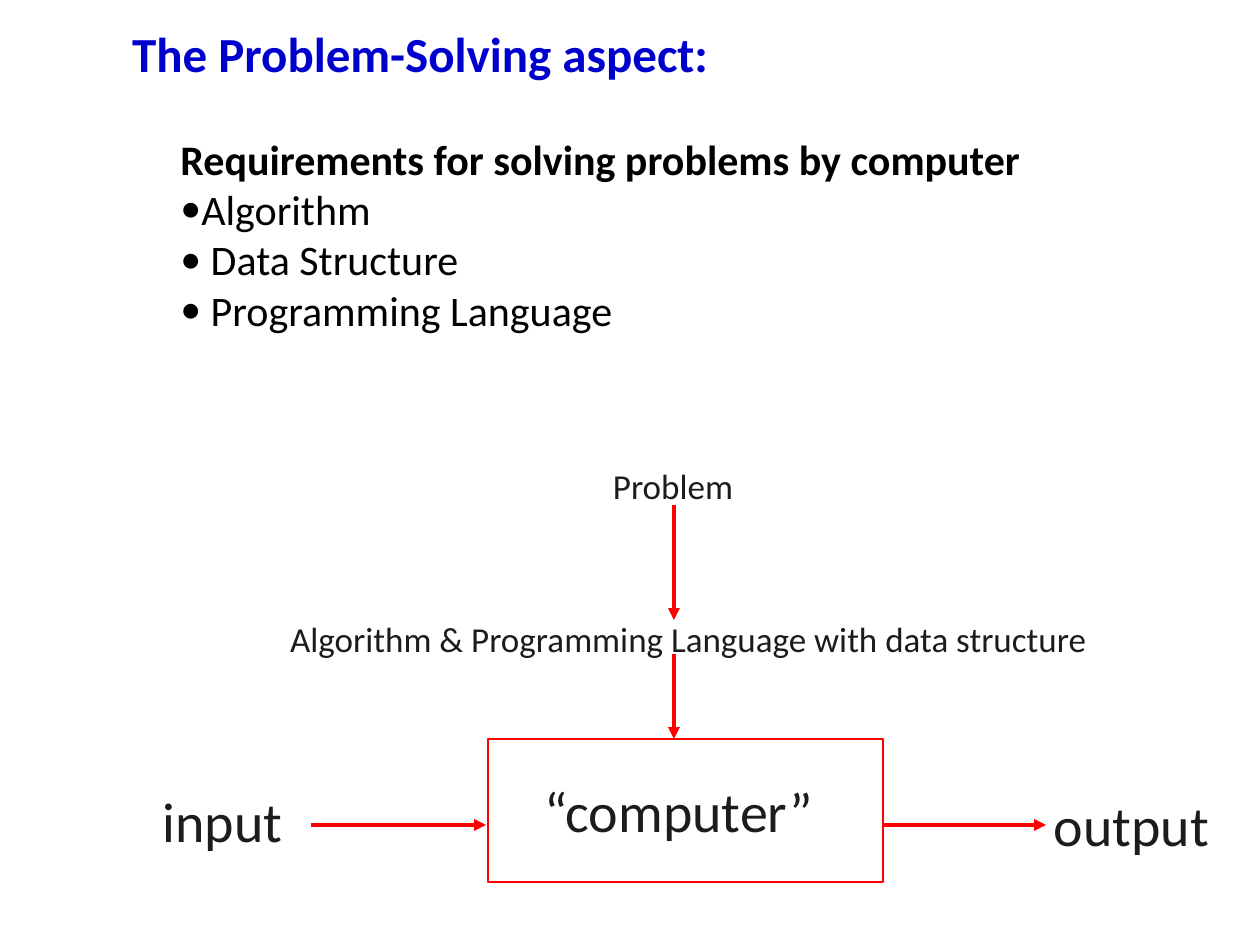
from dataclasses import dataclass

from lxml.etree import SubElement
from pptx import Presentation
from pptx.dml.color import RGBColor
from pptx.enum.shapes import MSO_CONNECTOR, MSO_SHAPE
from pptx.enum.text import MSO_ANCHOR, PP_ALIGN
from pptx.oxml.ns import qn
from pptx.util import Emu, Pt


@dataclass(frozen=True)
class Theme:
    """Font, colours and type sizes of the slide."""
    font: str = "Calibri"
    heading: RGBColor = RGBColor(0x00, 0x00, 0xCC)
    body: RGBColor = RGBColor(0x00, 0x00, 0x00)
    label: RGBColor = RGBColor(0x1C, 0x1C, 0x1C)
    accent: RGBColor = RGBColor(0xFF, 0x00, 0x00)
    title_size: int = 28
    body_size: int = 24
    step_size: int = 20
    node_size: int = 32
    outline: float = 1
    arrow: float = 2.25


@dataclass(frozen=True)
class Box:
    """A rectangle in pixels."""
    left: int
    top: int
    width: int
    height: int


@dataclass(frozen=True)
class Label:
    """A caption of the diagram."""
    text: str
    box: Box
    size: int
    align: PP_ALIGN = PP_ALIGN.CENTER


@dataclass(frozen=True)
class Arrow:
    """A straight arrow between two pixel points."""
    x1: int
    y1: int
    x2: int
    y2: int


THEME = Theme()
AXIS_X, FLOW_Y = 674, 825
TITLE = "The Problem-Solving aspect:"
TITLE_BOX = Box(105, 0, 630, 105)
REQUIREMENTS_BOX = Box(168, 133, 1018, 233)
REQUIREMENTS_HEADING = "Requirements for solving problems by computer"
REQUIREMENTS = ["Algorithm", " Data Structure", " Programming Language"]
COMPUTER = Label("“computer” ", Box(488, 739, 395, 143), THEME.node_size)
LABELS = [
    Label("Problem", Box(605, 460, 173, 54), THEME.step_size, PP_ALIGN.LEFT),
    Label("Algorithm & Programming Language with data structure",
          Box(213, 613, 951, 59), THEME.step_size),
    Label("input", Box(131, 783, 183, 86), THEME.node_size),
    Label("output", Box(1040, 787, 183, 86), THEME.node_size),
]
ARROWS = [
    Arrow(AXIS_X, 505, AXIS_X, 620),
    Arrow(AXIS_X, 654, AXIS_X, 739),
    Arrow(311, FLOW_Y, 486, FLOW_Y),
    Arrow(882, FLOW_Y, 1046, FLOW_Y),
]


def px(length: float) -> Emu:
    """Turn pixels into EMU."""
    return Emu(round(length * 914400 / 126))


def place(box: Box) -> tuple[Emu, Emu, Emu, Emu]:
    """Give the EMU position and size of a box."""
    return px(box.left), px(box.top), px(box.width), px(box.height)


def add_run(paragraph, text: str, size: int, color: RGBColor, bold: bool = False) -> None:
    """Add one formatted run to a paragraph."""
    run = paragraph.add_run()
    run.text = text
    run.font.name = THEME.font
    run.font.size = Pt(size)
    run.font.bold = bold
    run.font.color.rgb = color


def write_label(frame, label: Label, anchor: MSO_ANCHOR) -> None:
    """Write a diagram caption into a text frame."""
    frame.word_wrap = True
    frame.vertical_anchor = anchor
    frame.margin_left = frame.margin_right = px(8)
    frame.margin_top = frame.margin_bottom = px(4)
    caption = frame.paragraphs[0]
    caption.alignment = label.align
    caption.space_after = Pt(10)
    add_run(caption, label.text, label.size, THEME.label)


def add_title(slide) -> None:
    """Place and format the slide title."""
    title = slide.shapes.title
    title.left, title.top, title.width, title.height = place(TITLE_BOX)
    title.text_frame.vertical_anchor = MSO_ANCHOR.MIDDLE
    heading = title.text_frame.paragraphs[0]
    heading.alignment = PP_ALIGN.CENTER
    add_run(heading, TITLE, THEME.title_size, THEME.heading, True)


def add_requirements(slide) -> None:
    """Add the heading and its bulleted requirements."""
    frame = slide.shapes.add_textbox(*place(REQUIREMENTS_BOX)).text_frame
    frame.word_wrap = True
    frame.margin_top = 0
    add_run(frame.paragraphs[0], REQUIREMENTS_HEADING, THEME.body_size, THEME.body, True)
    for requirement in REQUIREMENTS:
        item = frame.add_paragraph()
        item.alignment = PP_ALIGN.JUSTIFY
        bullet = item._p.get_or_add_pPr()
        SubElement(bullet, qn("a:buFont"), typeface=THEME.font)
        SubElement(bullet, qn("a:buChar"), char="•")
        add_run(item, requirement, THEME.body_size, THEME.body)


def add_computer(slide) -> None:
    """Add the outlined computer node."""
    computer = slide.shapes.add_shape(MSO_SHAPE.RECTANGLE, *place(COMPUTER.box))
    computer.shadow.inherit = False
    computer.fill.background()
    computer.line.color.rgb = THEME.accent
    computer.line.width = Pt(THEME.outline)
    write_label(computer.text_frame, COMPUTER, MSO_ANCHOR.MIDDLE)


def add_arrow(slide, arrow: Arrow) -> None:
    """Add a connector with a triangle at its end."""
    link = slide.shapes.add_connector(
        MSO_CONNECTOR.STRAIGHT, px(arrow.x1), px(arrow.y1), px(arrow.x2), px(arrow.y2))
    link.line.color.rgb = THEME.accent
    link.line.width = Pt(THEME.arrow)
    SubElement(link.line._get_or_add_ln(), qn("a:tailEnd"), type="triangle")
    SubElement(link._element.spPr, qn("a:effectLst"))


def build() -> None:
    """Build and save the slide."""
    deck = Presentation()
    deck.slide_width, deck.slide_height = px(1260), px(945)
    slide = deck.slides.add_slide(deck.slide_layouts[5])
    add_title(slide)
    add_computer(slide)
    for arrow in ARROWS:
        add_arrow(slide, arrow)
    for label in LABELS:
        frame = slide.shapes.add_textbox(*place(label.box)).text_frame
        write_label(frame, label, MSO_ANCHOR.TOP)
    add_requirements(slide)
    deck.save("out.pptx")


build()
